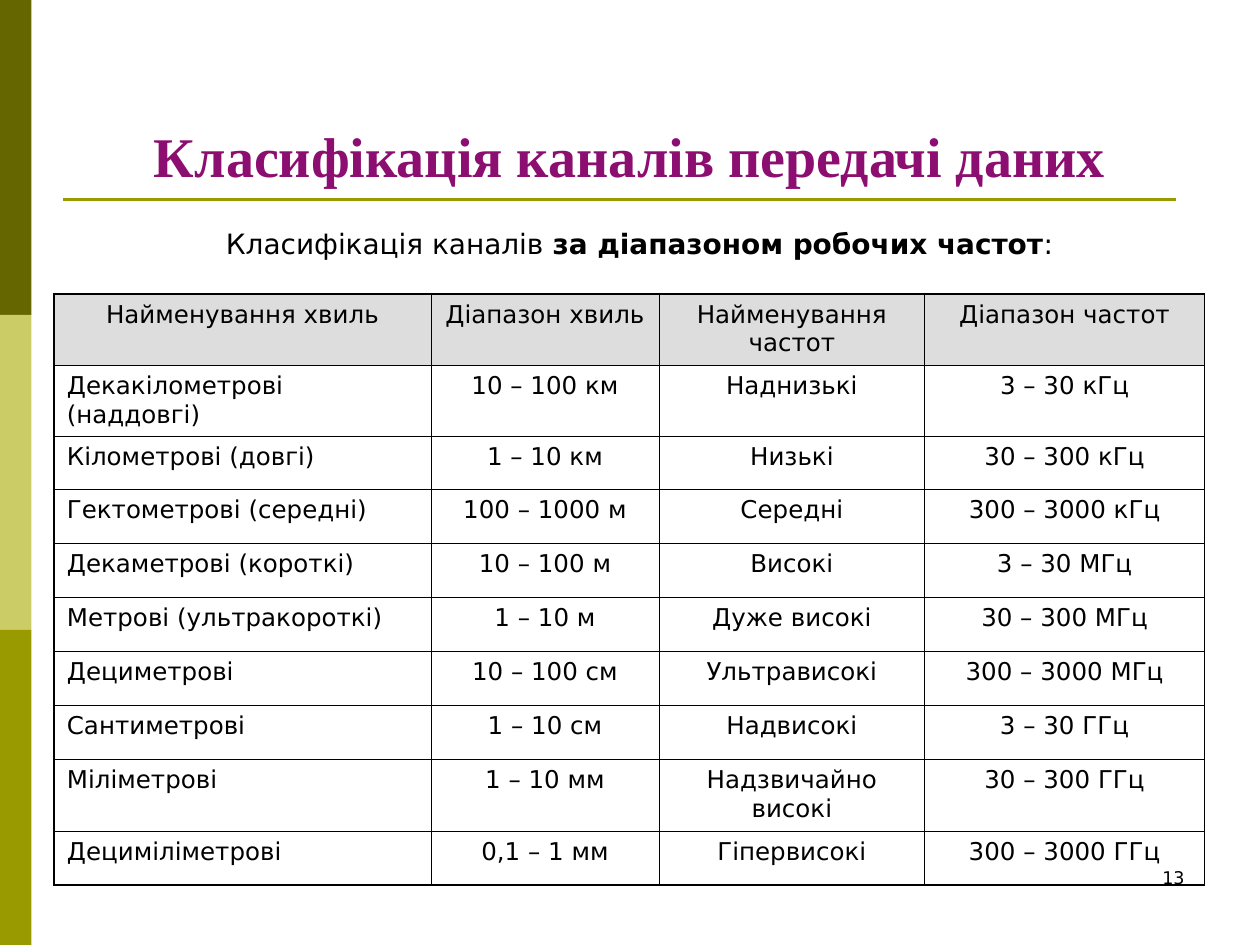
from dataclasses import dataclass

import pptx
import pptx.dml.color
import pptx.enum.shapes
import pptx.enum.text
import pptx.oxml
import pptx.oxml.ns
import pptx.util
from pptx.util import Pt

RGBColor = pptx.dml.color.RGBColor
Align = pptx.enum.text.PP_ALIGN

BLACK = RGBColor(0x00, 0x00, 0x00)
PURPLE = RGBColor(0x8C, 0x0E, 0x71)
DARK_OLIVE = RGBColor(0x66, 0x66, 0x00)
LIGHT_OLIVE = RGBColor(0xCC, 0xCC, 0x66)
OLIVE = RGBColor(0x99, 0x99, 0x00)
HEADER_GRAY = RGBColor(0xDD, 0xDD, 0xDD)

SANS = "DejaVu Sans"
SERIF = "Times New Roman"
BAR_WIDTH, BAR_HEIGHT = 18, 180
OUTER_BORDER, INNER_BORDER = 1.08, 0.45
TALL_ROW, ROW = 41, 30.8
TALL_ROWS = (0, 8)
COLUMN_WIDTHS = (215.3, 130.3, 151.9, 159.8)
HEADINGS = ("Найменування хвиль", "Діапазон хвиль", "Найменування частот", "Діапазон частот")


@dataclass(frozen=True)
class Box:
    left: float
    top: float
    width: float
    height: float

    def lengths(self) -> tuple:
        return Pt(self.left), Pt(self.top), Pt(self.width), Pt(self.height)


@dataclass(frozen=True)
class TextRun:
    text: str
    size: float
    bold: bool = False
    font: str = SANS
    color: RGBColor = BLACK


@dataclass(frozen=True)
class Band:
    wave: str
    wave_range: str
    frequency: str
    frequency_range: str

    def texts(self) -> tuple:
        return self.wave, self.wave_range, self.frequency, self.frequency_range


BANDS = (
    Band("Декакілометрові (наддовгі)", "10 – 100 км", "Наднизькі", "3 – 30 кГц"),
    Band("Кілометрові (довгі)", "1 – 10 км", "Низькі", "30 – 300 кГц"),
    Band("Гектометрові (середні)", "100 – 1000 м", "Середні", "300 – 3000 кГц"),
    Band("Декаметрові (короткі)", "10 – 100 м", "Високі", "3 – 30 МГц"),
    Band("Метрові (ультракороткі)", "1 – 10 м", "Дуже високі", "30 – 300 МГц"),
    Band("Дециметрові", "10 – 100 см", "Ультрависокі", "300 – 3000 МГц"),
    Band("Сантиметрові", "1 – 10 см", "Надвисокі", "3 – 30 ГГц"),
    Band("Міліметрові", "1 – 10 мм", "Надзвичайно високі", "30 – 300 ГГц"),
    Band("Дециміліметрові", "0,1 – 1 мм", "Гіпервисокі", "300 – 3000 ГГц"),
)


def write_runs(paragraph, runs: list[TextRun], alignment) -> None:
    paragraph.alignment = alignment
    for item in runs:
        run = paragraph.add_run()
        run.text = item.text
        run.font.name = item.font
        run.font.size = Pt(item.size)
        run.font.bold = item.bold
        run.font.color.rgb = item.color


def fill_text(shape, box: Box, runs: list[TextRun], alignment, anchor) -> None:
    shape.left, shape.top, shape.width, shape.height = box.lengths()
    frame = shape.text_frame
    frame.word_wrap = True
    frame.auto_size = pptx.enum.text.MSO_AUTO_SIZE.NONE
    frame.vertical_anchor = anchor
    write_runs(frame.paragraphs[0], runs, alignment)


def remove_bullet(paragraph) -> None:
    properties = paragraph._p.get_or_add_pPr()
    properties.set("marL", str(Pt(27)))
    properties.set("indent", str(-Pt(27)))
    properties.append(pptx.oxml.parse_xml(f"<a:buNone {pptx.oxml.ns.nsdecls('a')}/>"))
    paragraph.space_before = Pt(0)


def draw_bar(slide, box: Box, color: RGBColor) -> None:
    shape = slide.shapes.add_shape(pptx.enum.shapes.MSO_SHAPE.RECTANGLE, *box.lengths())
    shape.shadow.inherit = False
    shape.fill.solid()
    shape.fill.fore_color.rgb = color
    shape.line.fill.background()


def draw_rule(slide, left: float, right: float, top: float) -> None:
    connector = slide.shapes.add_connector(
        pptx.enum.shapes.MSO_CONNECTOR.STRAIGHT, Pt(left), Pt(top), Pt(right), Pt(top)
    )
    connector.line.color.rgb = OLIVE
    connector.line.width = Pt(1.5)
    connector._element.spPr.append(
        pptx.oxml.parse_xml(f"<a:effectLst {pptx.oxml.ns.nsdecls('a')}/>")
    )


def add_border(cell, side: str, width: float) -> None:
    cell._tc.get_or_add_tcPr().append(pptx.oxml.parse_xml(
        f"<a:ln{side} {pptx.oxml.ns.nsdecls('a')} w='{Pt(width)}'>"
        f"<a:solidFill><a:srgbClr val='{BLACK}'/></a:solidFill></a:ln{side}>"
    ))


def draw_table(slide, box: Box) -> None:
    rows = [HEADINGS] + [band.texts() for band in BANDS]
    last_row, last_column = len(rows) - 1, len(HEADINGS) - 1
    table = slide.shapes.add_table(len(rows), len(HEADINGS), *box.lengths()).table
    table.first_row = False
    table.horz_banding = False
    for column, width in zip(table.columns, COLUMN_WIDTHS):
        column.width = Pt(width)
    for row_index, texts in enumerate(rows):
        table.rows[row_index].height = Pt(TALL_ROW if row_index in TALL_ROWS else ROW)
        for column_index, text in enumerate(texts):
            cell = table.cell(row_index, column_index)
            edges = {
                "L": column_index == 0,
                "R": column_index == last_column,
                "T": row_index == 0,
                "B": row_index == last_row,
            }
            for side, outer in edges.items():
                add_border(cell, side, OUTER_BORDER if outer else INNER_BORDER)
            if row_index == 0:
                cell.fill.solid()
                cell.fill.fore_color.rgb = HEADER_GRAY
            else:
                cell.fill.background()
            left_aligned = row_index > 0 and column_index == 0
            alignment = Align.LEFT if left_aligned else Align.CENTER
            write_runs(cell.text_frame.paragraphs[0], [TextRun(text, 14)], alignment)


def main() -> None:
    presentation = pptx.Presentation()
    presentation.slide_width = Pt(720)
    presentation.slide_height = Pt(540)
    slide = presentation.slides.add_slide(presentation.slide_layouts[1])
    anchors = pptx.enum.text.MSO_ANCHOR

    for index, color in enumerate((DARK_OLIVE, LIGHT_OLIVE, OLIVE)):
        draw_bar(slide, Box(0, index * BAR_HEIGHT, BAR_WIDTH, BAR_HEIGHT), color)
    draw_rule(slide, 36, 672, 114)

    title = TextRun("Класифікація каналів передачі даних", 32, True, SERIF, PURPLE)
    fill_text(slide.shapes.title, Box(36, 21.6, 648, 90), [title], Align.CENTER, anchors.BOTTOM)

    body = slide.placeholders[1]
    remove_bullet(body.text_frame.paragraphs[0])
    subtitle = [
        TextRun("Класифікація каналів ", 16),
        TextRun("за діапазоном робочих частот", 16, True),
        TextRun(":", 16),
    ]
    fill_text(body, Box(36, 126, 658.8, 356.4), subtitle, Align.CENTER, anchors.TOP)

    draw_table(slide, Box(31, 168, sum(COLUMN_WIDTHS), 328.4))

    number_box = Box(516, 492, 168, 36)
    number = slide.shapes.add_textbox(*number_box.lengths())
    fill_text(number, number_box, [TextRun("13", 10)], Align.RIGHT, anchors.TOP)

    presentation.save("out.pptx")


if __name__ == "__main__":
    main()
